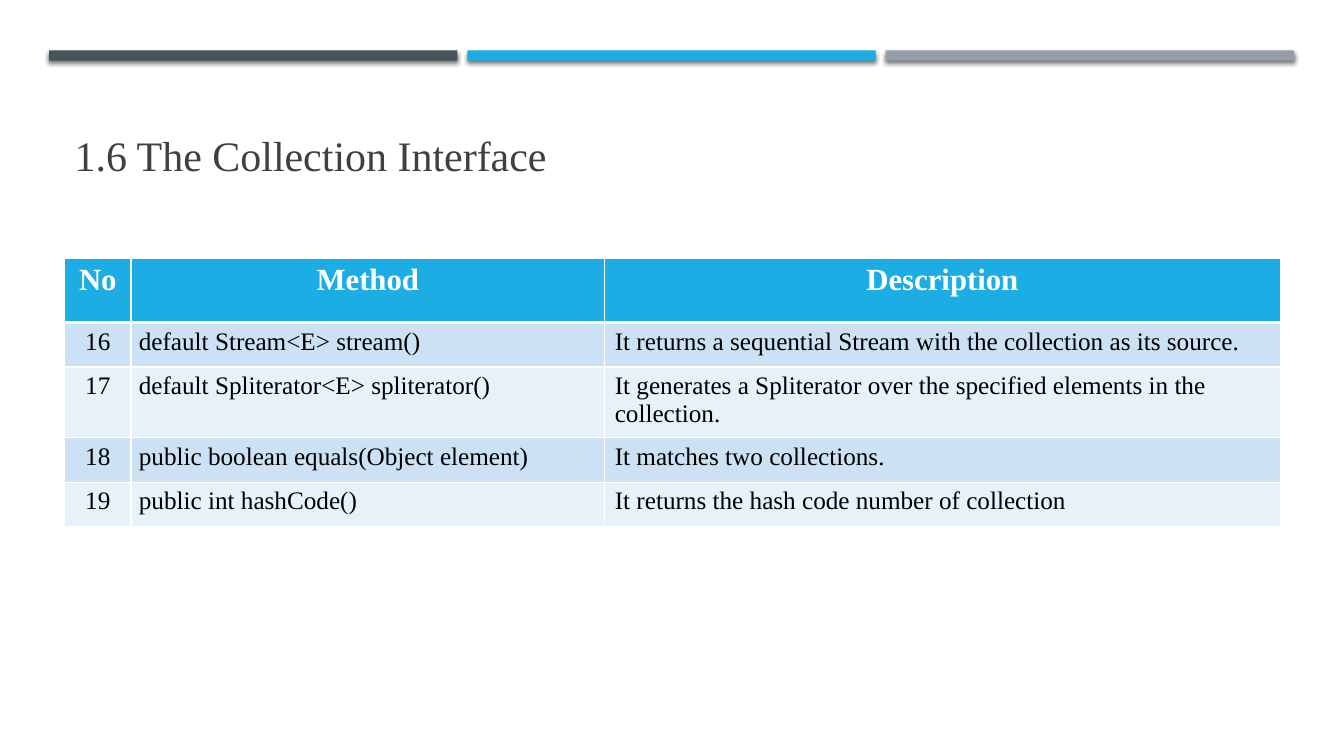
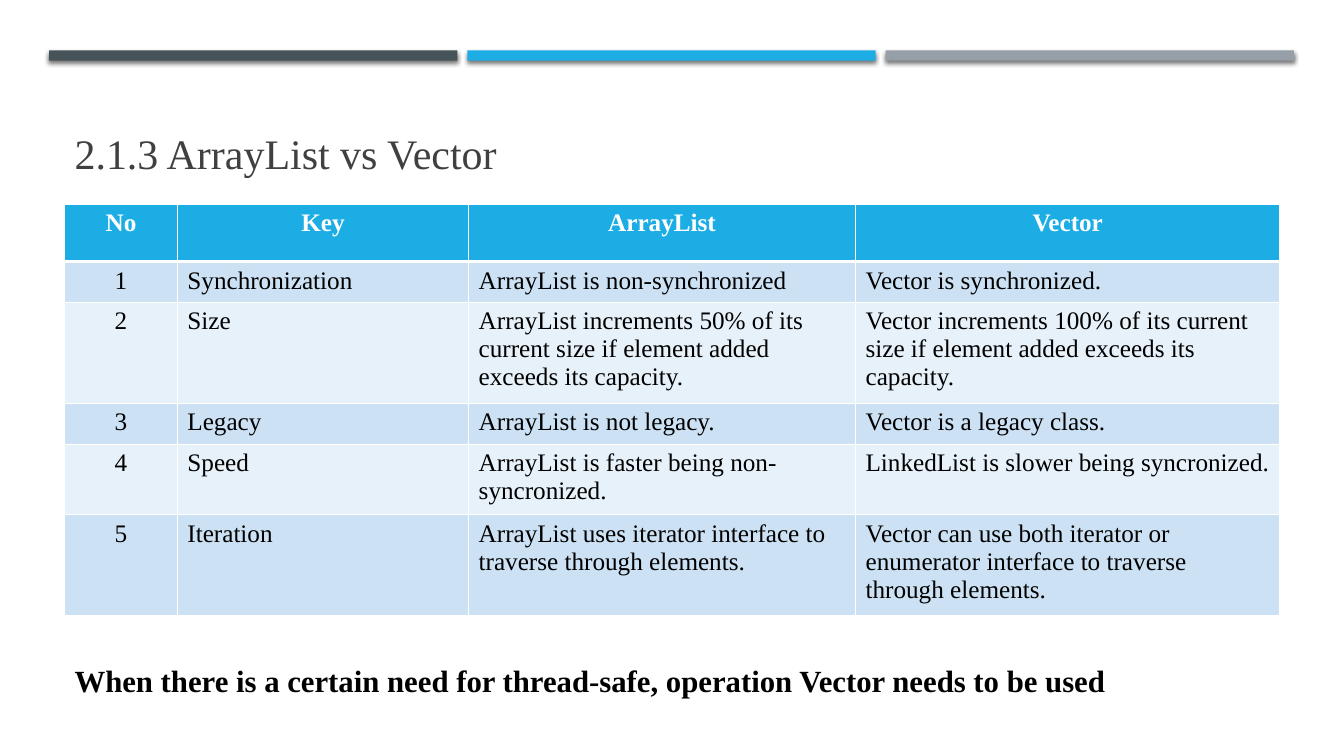
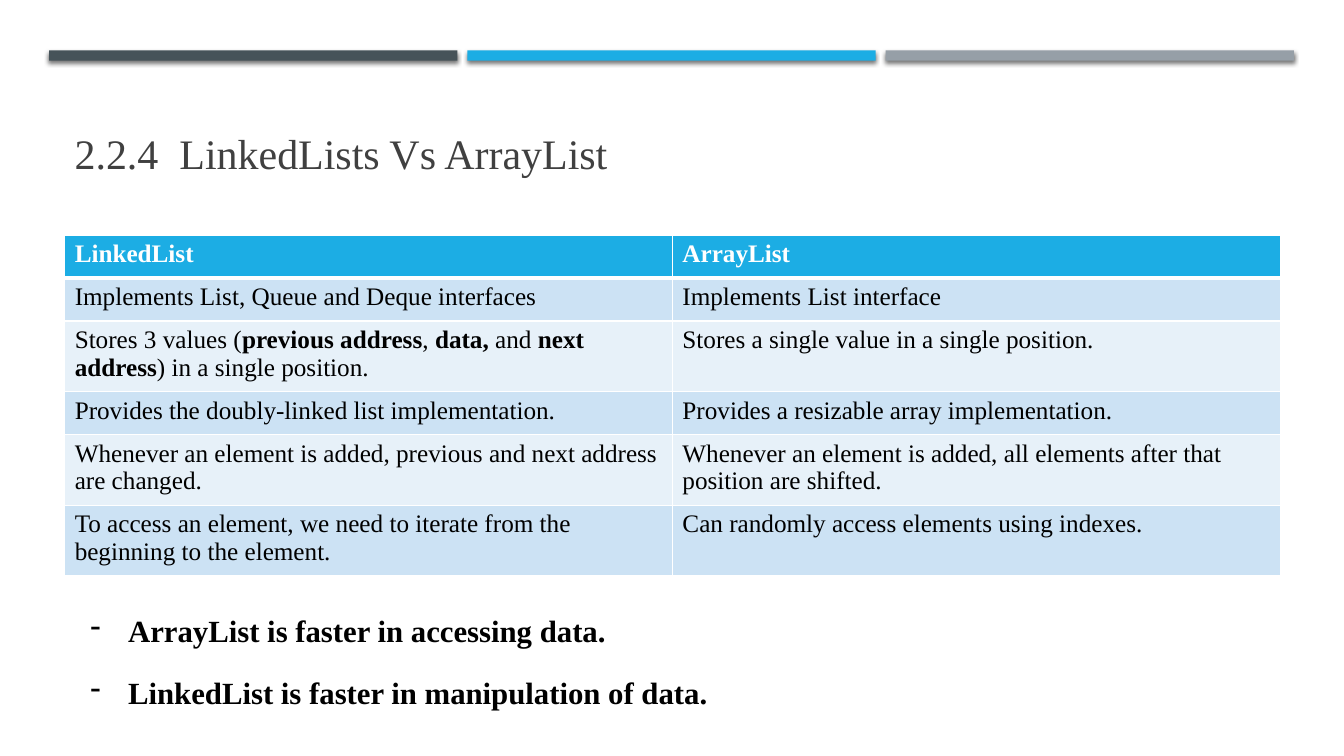
from dataclasses import dataclass

from lxml.etree import SubElement
from pptx import Presentation
from pptx.dml.color import RGBColor
from pptx.enum.shapes import MSO_SHAPE
from pptx.enum.text import MSO_ANCHOR, PP_ALIGN
from pptx.oxml import parse_xml
from pptx.oxml.ns import nsdecls, qn
from pptx.util import Cm, Pt


@dataclass(frozen=True)
class Theme:
    font: str = "Times New Roman"
    slate: str = "465359"
    blue: str = "1CADE4"
    gray: str = "969FA7"
    title_color: str = "404040"
    text_color: str = "000000"
    white: str = "FFFFFF"
    bands: tuple = ("E7F1F9", "CCE2F4")
    title_size: int = 30
    note_size: int = 22
    body_size: int = 18
    thin_border: float = 0.96
    header_border: float = 3


THEME = Theme()
LEFT, CENTER, JUSTIFY = PP_ALIGN.LEFT, PP_ALIGN.CENTER, PP_ALIGN.JUSTIFY
MARGIN, CONTENT_WIDTH = 1.63, 30.63
BAR_LEFT, BAR_TOP, BAR_WIDTH, BAR_PITCH = 1.24, 1.27, 10.29, 10.54

SLIDES = [
    {
        "title": "1.6 The Collection Interface",
        "title_top": 2.41, "title_height": 2.26,
        "table_top": 6.5,
        "columns": [1.67, 11.94, 17.02],
        "row_heights": [1.63, 1.12, 1.65, 1.12, 1.12],
        "header_align": CENTER, "header_size": 22,
        "aligns": [CENTER, JUSTIFY, LEFT],
        "rows": [
            ["No", "Method", "Description"],
            ["16", "default Stream<E> stream()",
             "It returns a sequential Stream with the collection as its source."],
            ["17", "default Spliterator<E> spliterator()",
             "It generates a Spliterator over the specified elements in the collection."],
            ["18", "public boolean equals(Object element)", "It matches two collections."],
            ["19", "public int hashCode()", "It returns the hash code number of collection"],
        ],
    },
    {
        "title": "2.1.3 ArrayList vs Vector",
        "title_top": 1.32, "title_height": 3.3,
        "table_top": 5.14,
        "columns": [2.84, 7.34, 9.75, 10.7],
        "row_heights": [1.45, 1.03, 2.36, 1.03, 1.65, 2.36],
        "header_align": CENTER, "header_size": THEME.body_size,
        "aligns": [CENTER, LEFT, LEFT, LEFT],
        "rows": [
            ["No", "Key", "ArrayList", "Vector"],
            ["1", "Synchronization", "ArrayList is non-synchronized", "Vector is synchronized."],
            ["2", "Size",
             "ArrayList increments 50% of its current size if element added exceeds its capacity.",
             "Vector increments 100% of its current size if element added exceeds its capacity."],
            ["3", "Legacy", "ArrayList is not legacy.", "Vector is a legacy class."],
            ["4", "Speed", "ArrayList is faster being non-syncronized.",
             "LinkedList is slower being syncronized."],
            ["5", "Iteration",
             "ArrayList uses iterator interface to traverse through elements.",
             "Vector can use both iterator or enumerator interface to traverse through elements."],
        ],
        "notes": ["When there is a certain need for thread-safe, operation Vector needs to be used"],
        "notes_left": MARGIN, "notes_top": 16.54, "notes_height": 1.19, "bulleted": False,
    },
    {
        "title": "2.2.4  LinkedLists Vs ArrayList",
        "title_top": 1.32, "title_height": 3.3,
        "table_top": 5.93,
        "columns": [CONTENT_WIDTH / 2] * 2,
        "row_heights": [1.08, 1.08, 1.78, 1.08, 1.78, 1.78],
        "header_align": LEFT, "header_size": THEME.body_size,
        "aligns": [LEFT, LEFT],
        "rows": [
            ["LinkedList", "ArrayList"],
            ["Implements List, Queue and Deque interfaces", "Implements List interface"],
            ["Stores 3 values (**previous address**, **data,** and **next address**) "
             "in a single position.",
             "Stores a single value in a single position."],
            ["Provides the doubly-linked list implementation.",
             "Provides a resizable array implementation."],
            ["Whenever an element is added, previous and next address are changed.",
             "Whenever an element is added, all elements after that position are shifted."],
            ["To access an element, we need to iterate from the beginning to the element.",
             "Can randomly access elements using indexes."],
        ],
        "notes": ["ArrayList is faster in accessing data.",
                  "LinkedList is faster in manipulation of data."],
        "notes_left": 2.03, "notes_top": 15.29, "notes_height": 2.74, "bulleted": True,
    },
]


def write(para, text, size, color, bold=False, align=LEFT):
    """Fill a paragraph; text between double asterisks is bold."""
    para.alignment = align
    para.font.name = THEME.font
    para.font.size = Pt(size)
    para.font.bold = bold
    para.font.color.rgb = RGBColor.from_string(color)
    for index, piece in enumerate(text.split("**")):
        span = para.add_run()
        span.text = piece
        if index % 2:
            span.font.bold = True


def style_cell(cell, fill, top, bottom):
    """Set the fill and white borders; top and bottom are widths in points."""
    cell.fill.solid()
    cell.fill.fore_color.rgb = RGBColor.from_string(fill)
    properties = cell._tc.get_or_add_tcPr()
    widths = {"lnL": THEME.thin_border, "lnR": THEME.thin_border, "lnT": top, "lnB": bottom}
    for index, (side, width) in enumerate(widths.items()):
        properties.insert(index, parse_xml(
            f'<a:{side} {nsdecls("a")} w="{Pt(width)}"><a:solidFill>'
            f'<a:srgbClr val="{THEME.white}"/></a:solidFill></a:{side}>'))


deck = Presentation()
deck.slide_width, deck.slide_height = Cm(33.87), Cm(19.05)

for content in SLIDES:
    page = deck.slides.add_slide(deck.slide_layouts[6])

    for index, color in enumerate((THEME.slate, THEME.blue, THEME.gray)):
        bar = page.shapes.add_shape(
            MSO_SHAPE.RECTANGLE, Cm(BAR_LEFT + index * BAR_PITCH), Cm(BAR_TOP),
            Cm(BAR_WIDTH), Cm(0.26))
        bar.fill.solid()
        bar.fill.fore_color.rgb = RGBColor.from_string(color)
        bar.line.fill.background()
        bar.shadow.inherit = False
        effects = bar._element.spPr.find(qn("a:effectLst"))
        effects.append(parse_xml(
            f'<a:outerShdw {nsdecls("a")} blurRad="{Pt(3)}" dist="{Pt(2)}" dir="5400000" '
            'rotWithShape="0"><a:srgbClr val="000000"><a:alpha val="55000"/></a:srgbClr>'
            '</a:outerShdw>'))

    title = page.shapes.add_textbox(
        Cm(MARGIN), Cm(content["title_top"]), Cm(CONTENT_WIDTH), Cm(content["title_height"]))
    title.text_frame.word_wrap = True
    title.text_frame.vertical_anchor = MSO_ANCHOR.BOTTOM
    write(title.text_frame.paragraphs[0], content["title"], THEME.title_size, THEME.title_color)

    rows, columns, heights = content["rows"], content["columns"], content["row_heights"]
    table = page.shapes.add_table(
        len(rows), len(columns), Cm(MARGIN), Cm(content["table_top"]),
        Cm(CONTENT_WIDTH), Cm(sum(heights))).table
    for column, width in zip(table.columns, columns):
        column.width = Cm(width)
    for row_index, (row, height) in enumerate(zip(rows, heights)):
        table.rows[row_index].height = Cm(height)
        is_header = row_index == 0
        for column_index, text in enumerate(row):
            cell = table.cell(row_index, column_index)
            style_cell(
                cell,
                THEME.blue if is_header else THEME.bands[row_index % 2],
                THEME.header_border if row_index == 1 else THEME.thin_border,
                THEME.header_border if is_header else THEME.thin_border)
            para = cell.text_frame.paragraphs[0]
            if is_header:
                write(para, text, content["header_size"], THEME.white, True,
                      content["header_align"])
            else:
                align = content["aligns"][column_index]
                write(para, text, THEME.body_size, THEME.text_color, align=align)
                if align == JUSTIFY:
                    cell.margin_left = cell.margin_right = Cm(0.2)

    if "notes" in content:
        box = page.shapes.add_textbox(
            Cm(content["notes_left"]), Cm(content["notes_top"]),
            Cm(29.82), Cm(content["notes_height"]))
        frame = box.text_frame
        frame.word_wrap = True
        for index, note in enumerate(content["notes"]):
            para = frame.add_paragraph() if index else frame.paragraphs[0]
            if index:
                para.space_before = Pt(18)
            if content["bulleted"]:
                properties = para._p.get_or_add_pPr()
                properties.set("marL", str(Cm(0.95)))
                properties.set("indent", str(-Cm(0.95)))
                SubElement(properties, qn("a:buChar"), char="-")
            write(para, note, THEME.note_size, THEME.text_color, bold=True)

deck.save("out.pptx")
